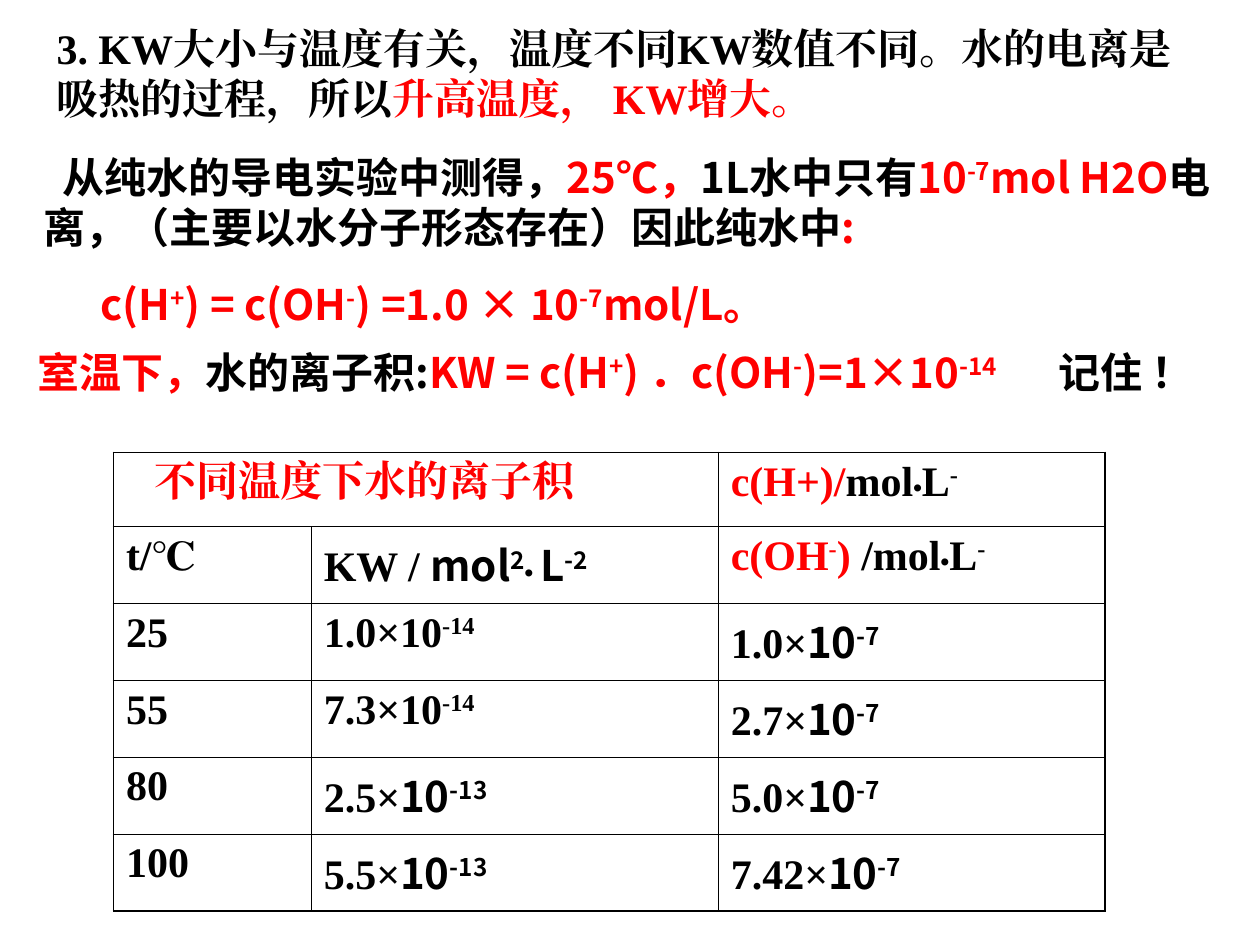
from lxml import etree
from pptx import Presentation
from pptx.dml.color import RGBColor
from pptx.enum.text import MSO_AUTO_SIZE as AutoSize
from pptx.oxml.ns import qn
from pptx.util import Inches, Pt

BLACK = RGBColor(0, 0, 0)
RED = RGBColor(0xFF, 0, 0)
SANS = "Noto Sans CJK SC"
SERIF = "Times New Roman"
OUTER, INNER = 1.08, 0.45


def add_text(p, text, color=BLACK, font=SERIF, size=24):
    """Add bold text; parts between ^ marks are superscript."""
    for i, part in enumerate(text.split("^")):
        if not part:
            continue
        r = p.add_run()
        r.text = part
        r.font.size, r.font.bold, r.font.name = Pt(size), True, font
        r.font.color.rgb = color
        rPr = r._r.get_or_add_rPr()
        etree.SubElement(rPr, qn("a:ea")).set("typeface", font)
        if i % 2:
            rPr.set("baseline", "30000")


def indent_first_line(p, inches):
    p._p.get_or_add_pPr().set("indent", str(Inches(inches)))


def add_tab(p, inches):
    tabs = etree.SubElement(p._p.get_or_add_pPr(), qn("a:tabLst"))
    etree.SubElement(tabs, qn("a:tab"), pos=str(Inches(inches)), algn="l")


def add_box(slide, left, top, width, height):
    sp = slide.shapes.add_textbox(Inches(left), Inches(top), Inches(width), Inches(height))
    tf = sp.text_frame
    tf.word_wrap = True
    tf.auto_size = AutoSize.SHAPE_TO_FIT_TEXT
    return tf


def set_borders(cell, widths):
    tcPr = cell._tc.get_or_add_tcPr()
    for i, (side, width) in enumerate(zip("LRTB", widths)):
        ln = etree.Element(qn(f"a:ln{side}"), w=str(Pt(width)))
        fill = etree.SubElement(ln, qn("a:solidFill"))
        etree.SubElement(fill, qn("a:srgbClr"), val=str(BLACK))
        tcPr.insert(i, ln)


def add_grid(slide, left, top, col_widths, row_heights):
    rows, cols = len(row_heights), len(col_widths)
    frame = slide.shapes.add_table(rows, cols, Inches(left), Inches(top),
                                   Inches(sum(col_widths)), Inches(sum(row_heights)))
    table = frame.table
    table.first_row = table.horz_banding = False
    for col, width in zip(table.columns, col_widths):
        col.width = Inches(width)
    for row, height in zip(table.rows, row_heights):
        row.height = Inches(height)
    for i in range(rows):
        for j in range(cols):
            cell = table.cell(i, j)
            cell.fill.background()
            edges = (j == 0, j == cols - 1, i == 0, i == rows - 1)
            set_borders(cell, [OUTER if edge else INNER for edge in edges])
    return table


def add_unit(p, mol, litre, dot="•", **fmt):
    add_text(p, mol, **fmt)
    add_text(p, dot, font="Arial", size=14)
    add_text(p, litre, **fmt)


def add_statements(slide):
    # Pure water measurement
    tf = add_box(slide, 0.25, 1.15, 9.75, 1.57)
    p = tf.paragraphs[0]
    indent_first_line(p, 0.15)
    for text, color in [("从纯水的导电实验中测得，", BLACK), ("25℃，", RED),
                        ("1L水中只有", BLACK), ("10^-7^mol H2O", RED),
                        ("电离，（主要以水分子形态存在）因此纯水中", BLACK), (":", RED)]:
        add_text(p, text, color=color, font=SANS)
    p = tf.add_paragraph()
    p.space_before = Pt(15)
    indent_first_line(p, 0.45)
    add_text(p, "c(H^+^) = c(OH^-^) =1.0 × 10^-7^mol/L。", color=RED, font=SANS)

    # Effect of temperature
    p = add_box(slide, 0.35, 0.13, 9.29, 1.01).paragraphs[0]
    add_text(p, "3. KW大小与温度有关，温度不同KW数值不同。水的电离是吸热的过程，所以")
    add_text(p, "升高温度， KW增大。", color=RED)

    # Ion product at room temperature
    p = add_box(slide, 0.2, 2.7, 9.45, 0.56).paragraphs[0]
    add_tab(p, 8.1)
    for text, color in [("室温下，", RED), ("水的离子积:", BLACK),
                        ("KW = c(H^+^) ．c(OH^-^)=1×10^-14^", RED),
                        ("\t记住 ！", BLACK)]:
        add_text(p, text, color=color, font=SANS)


def add_ion_table(slide):
    table = add_grid(slide, 0.9, 3.59, [1.57, 3.23, 3.07], [0.59] + [0.61] * 5)
    table.cell(0, 0).merge(table.cell(0, 1))

    def para(i, j):
        return table.cell(i, j).text_frame.paragraphs[0]

    # Headings
    indent_first_line(para(0, 0), 0.23)
    add_text(para(0, 0), "不同温度下水的离子积", color=RED)
    add_text(para(0, 2), "c(H+)/", color=RED)
    add_unit(para(0, 2), "mol", "L^-^")
    add_text(para(1, 0), "t/℃")
    add_text(para(1, 1), "KW / ")
    add_unit(para(1, 1), "mol^2^", "L^-2^", dot="• ", font=SANS)
    add_text(para(1, 2), "c(OH^-^)", color=RED)
    add_unit(para(1, 2), " /mol", "L^-^")

    # Values: temperature, ion product, its exponent and font, concentration
    values = [("25", "1.0", -14, SERIF, "1.0"), ("55", "7.3", -14, SERIF, "2.7"),
              ("80", "2.5", -13, SANS, "5.0"), ("100", "5.5", -13, SANS, "7.42")]
    for i, (temp, product, power, font, conc) in enumerate(values, start=2):
        add_text(para(i, 0), temp)
        add_text(para(i, 1), f"{product}×")
        add_text(para(i, 1), f"10^{power}^", font=font)
        add_text(para(i, 2), f"{conc}×")
        add_text(para(i, 2), "10^-7^", font=SANS)


def main():
    prs = Presentation()
    prs.slide_width, prs.slide_height = Inches(10), Inches(7.5)
    slide = prs.slides.add_slide(prs.slide_layouts[6])
    add_statements(slide)
    add_ion_table(slide)
    prs.save("out.pptx")


if __name__ == "__main__":
    main()
